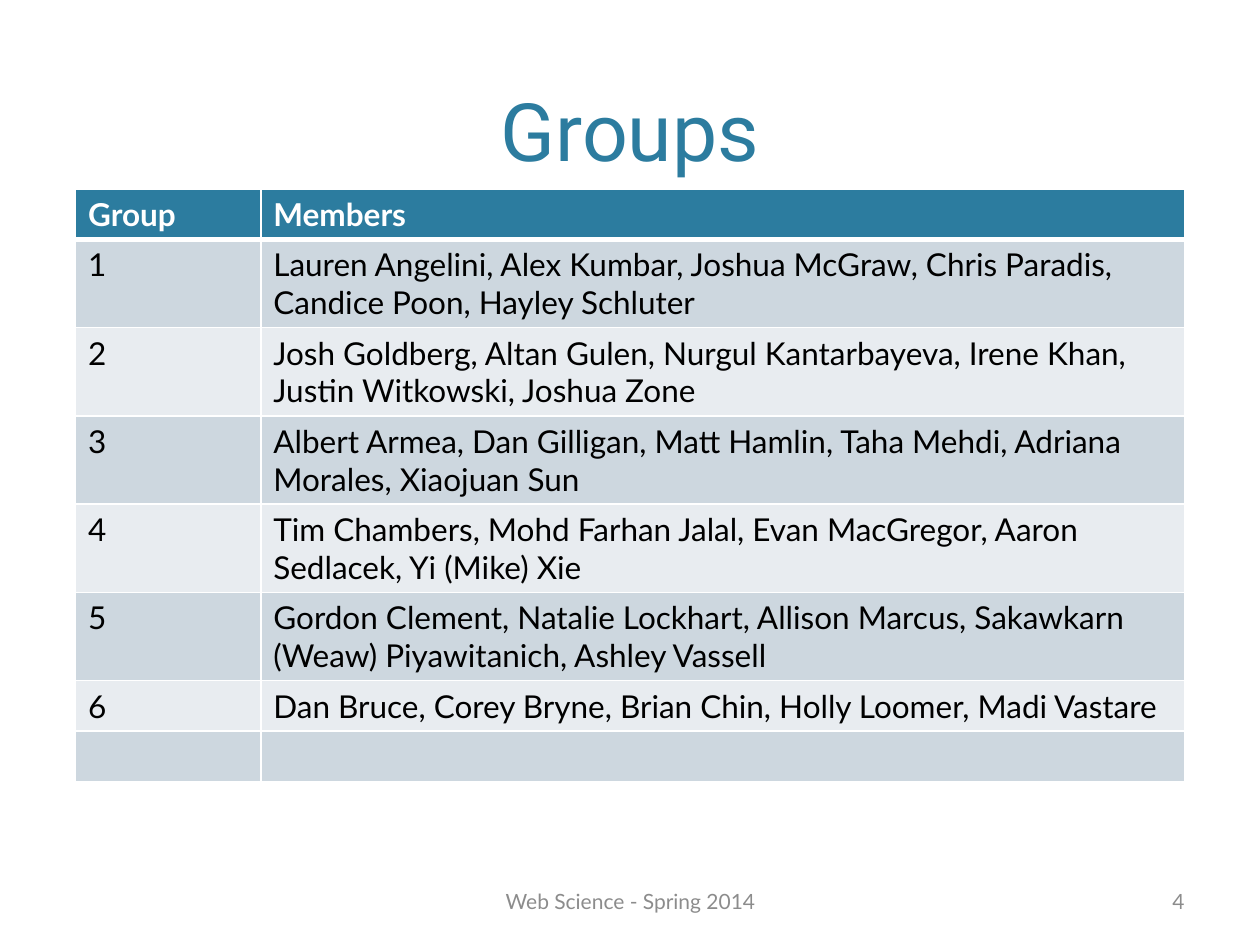
"""Build the class groups slide."""
from dataclasses import dataclass

from lxml import etree
from pptx import Presentation
from pptx import util as u
from pptx.dml.color import RGBColor
from pptx.enum import text
from pptx.oxml.ns import qn


@dataclass(frozen=True)
class Theme:
    """Colours, fonts and type sizes of the slide."""
    accent: str = "2C7C9F"
    bands: tuple = ("CDD7DF", "E8ECF0")
    white: str = "FFFFFF"
    ink: str = "000000"
    muted: str = "8C8C8C"
    title_font: str = "Roboto"
    body_font: str = "Lato"
    title_size: int = 46
    body_size: int = 18
    footer_size: int = 12


THEME = Theme()
WIDTH, HEIGHT, MARGIN = 10, 7.5, 0.6
COLUMNS = (1.47, 7.33)
LINE_HEIGHT, CELL_PADDING = 0.3, 0.1
GROUPS = (
    ("Group", "Members", 1),
    ("1", "Lauren Angelini, Alex Kumbar, Joshua McGraw, Chris Paradis, "
          "Candice Poon, Hayley Schluter", 2),
    ("2", "Josh Goldberg, Altan Gulen, Nurgul Kantarbayeva, Irene Khan, "
          "Justin Witkowski, Joshua Zone", 2),
    ("3", "Albert Armea, Dan Gilligan, Matt Hamlin, Taha Mehdi, "
          "Adriana Morales, Xiaojuan Sun", 2),
    ("4", "Tim Chambers, Mohd Farhan Jalal, Evan MacGregor, "
          "Aaron Sedlacek, Yi (Mike) Xie", 2),
    ("5", "Gordon Clement, Natalie Lockhart, Allison Marcus, "
          "Sakawkarn (Weaw) Piyawitanich, Ashley Vassell", 2),
    ("6", "Dan Bruce, Corey Bryne, Brian Chin, Holly Loomer, Madi Vastare", 1),
    ("", "", 1),
)


def write(frame, words, font, size, colour, align=text.PP_ALIGN.LEFT, bold=False):
    """Fill a text frame and format its runs."""
    frame.text = words
    for para in frame.paragraphs:
        para.alignment = align
        for span in para.runs:
            span.font.name = font
            span.font.size = u.Pt(size)
            span.font.bold = bold
            span.font.color.rgb = RGBColor.from_string(colour)


def add_title(page, words):
    """Place and format the title placeholder."""
    box = page.shapes.title
    box.left, box.top = u.Inches(MARGIN), 0
    box.width, box.height = u.Inches(WIDTH - 2 * MARGIN), u.Inches(1.46)
    frame = box.text_frame
    frame.auto_size = text.MSO_AUTO_SIZE.NONE
    frame.vertical_anchor = text.MSO_ANCHOR.BOTTOM
    write(frame, words, THEME.title_font, THEME.title_size, THEME.accent,
          text.PP_ALIGN.CENTER)


def add_border(cell, side, points):
    """Draw a white border on one side of a cell."""
    properties = cell._tc.get_or_add_tcPr()
    line = etree.SubElement(properties, qn(f"a:ln{side}"), w=str(u.Pt(points)))
    fill = etree.SubElement(line, qn("a:solidFill"))
    etree.SubElement(fill, qn("a:srgbClr"), val=THEME.white)


def format_cell(cell, words, row):
    """Write a table cell in its header or band style."""
    header = row == 0
    for side in "LRTB":
        heavy = (header and side == "B") or (row == 1 and side == "T")
        add_border(cell, side, 3 if heavy else 1)
    cell.fill.solid()
    colour = THEME.accent if header else THEME.bands[(row - 1) % 2]
    cell.fill.fore_color.rgb = RGBColor.from_string(colour)
    write(cell.text_frame, words, THEME.body_font, THEME.body_size,
          THEME.white if header else THEME.ink, bold=header)


def add_groups(page):
    """Add the table of groups and members."""
    heights = [lines * LINE_HEIGHT + CELL_PADDING for *_, lines in GROUPS]
    table = page.shapes.add_table(
        len(GROUPS), len(COLUMNS), u.Inches(MARGIN), u.Inches(1.5),
        u.Inches(sum(COLUMNS)), u.Inches(sum(heights))).table
    for column, width in zip(table.columns, COLUMNS):
        column.width = u.Inches(width)
    for row, (*cells, _) in enumerate(GROUPS):
        table.rows[row].height = u.Inches(heights[row])
        for column, words in enumerate(cells):
            format_cell(table.cell(row, column), words, row)


def add_footer(page, words, left, width, align):
    """Add a muted text box on the footer line."""
    box = page.shapes.add_textbox(
        u.Inches(left), u.Inches(6.95), u.Inches(width), u.Inches(0.4))
    frame = box.text_frame
    frame.word_wrap = True
    frame.vertical_anchor = text.MSO_ANCHOR.MIDDLE
    write(frame, words, THEME.body_font, THEME.footer_size, THEME.muted, align)


def main():
    """Build and save the deck."""
    deck = Presentation()
    deck.slide_width, deck.slide_height = u.Inches(WIDTH), u.Inches(HEIGHT)
    page = deck.slides.add_slide(deck.slide_layouts.get_by_name("Title Only"))
    add_title(page, "Groups")
    add_groups(page)
    add_footer(page, "Web Science - Spring 2014", 3.42, 3.17, text.PP_ALIGN.CENTER)
    add_footer(page, "4", 7.17, 2.33, text.PP_ALIGN.RIGHT)
    deck.save("out.pptx")


if __name__ == "__main__":
    main()
